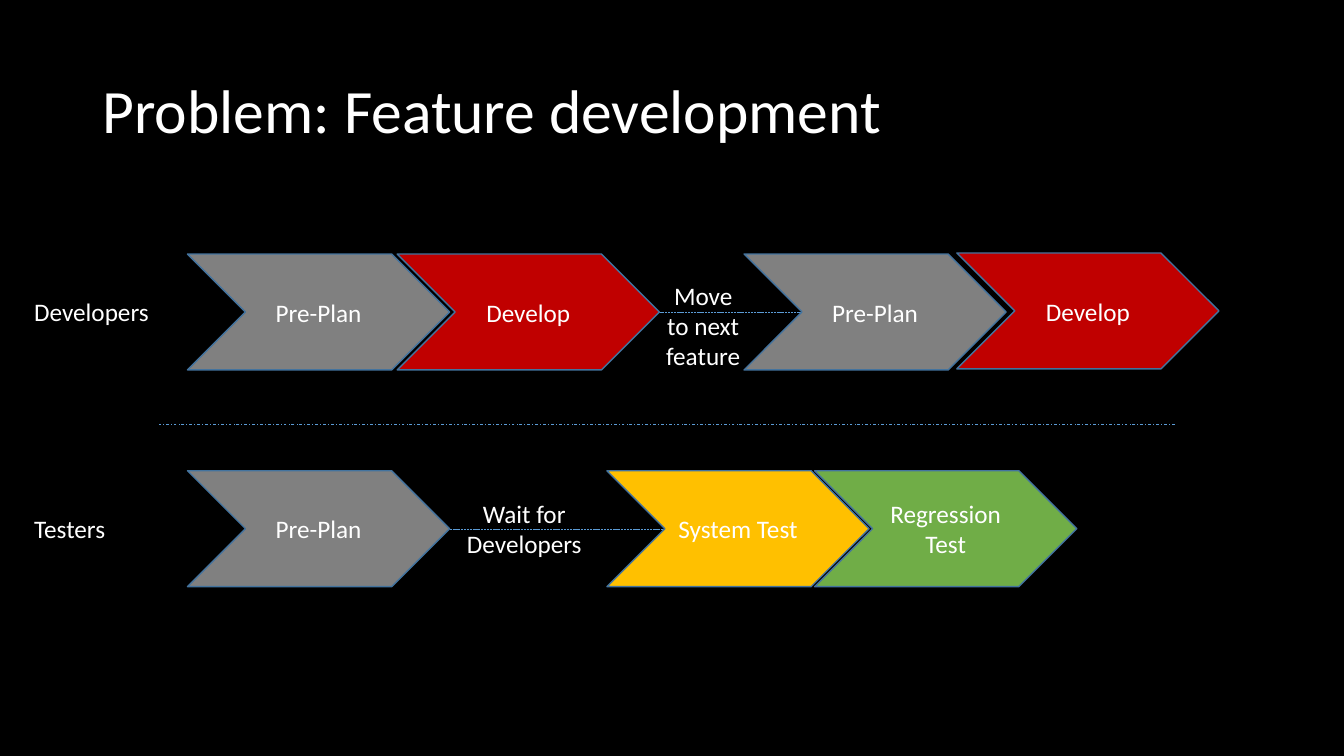
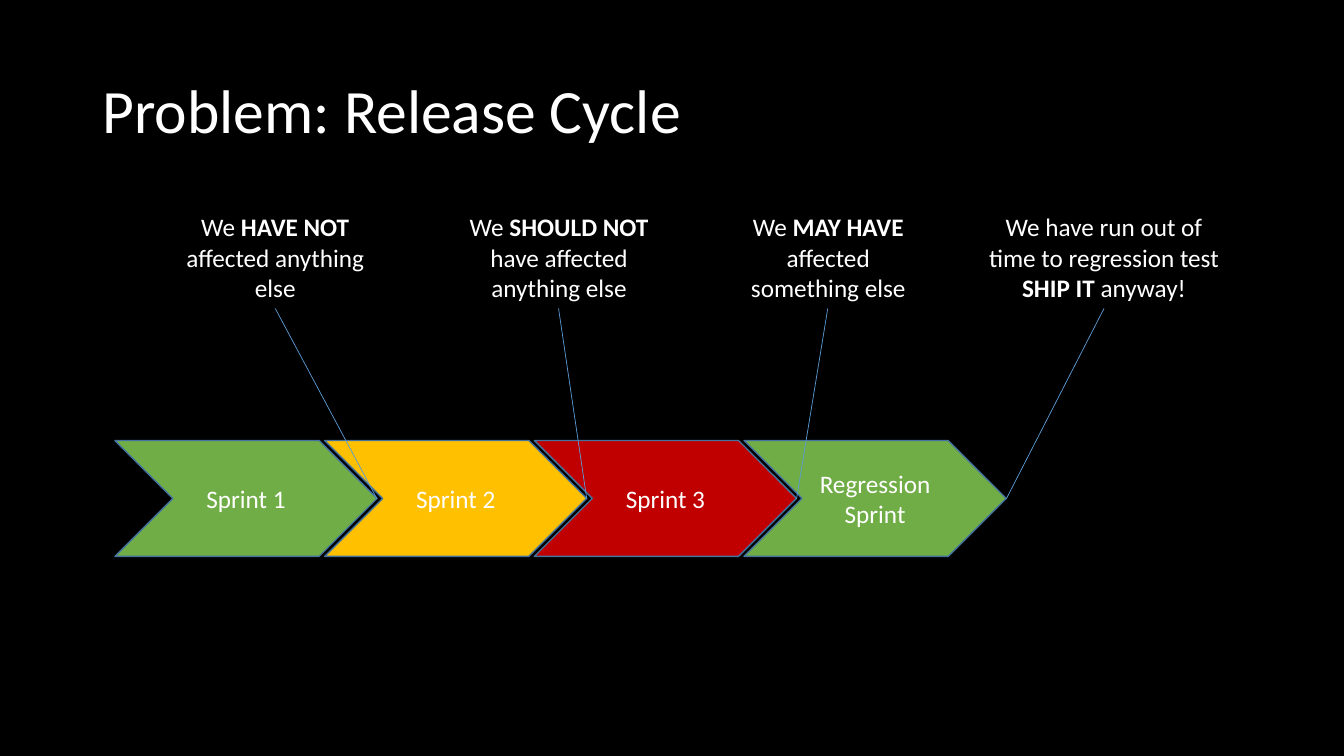
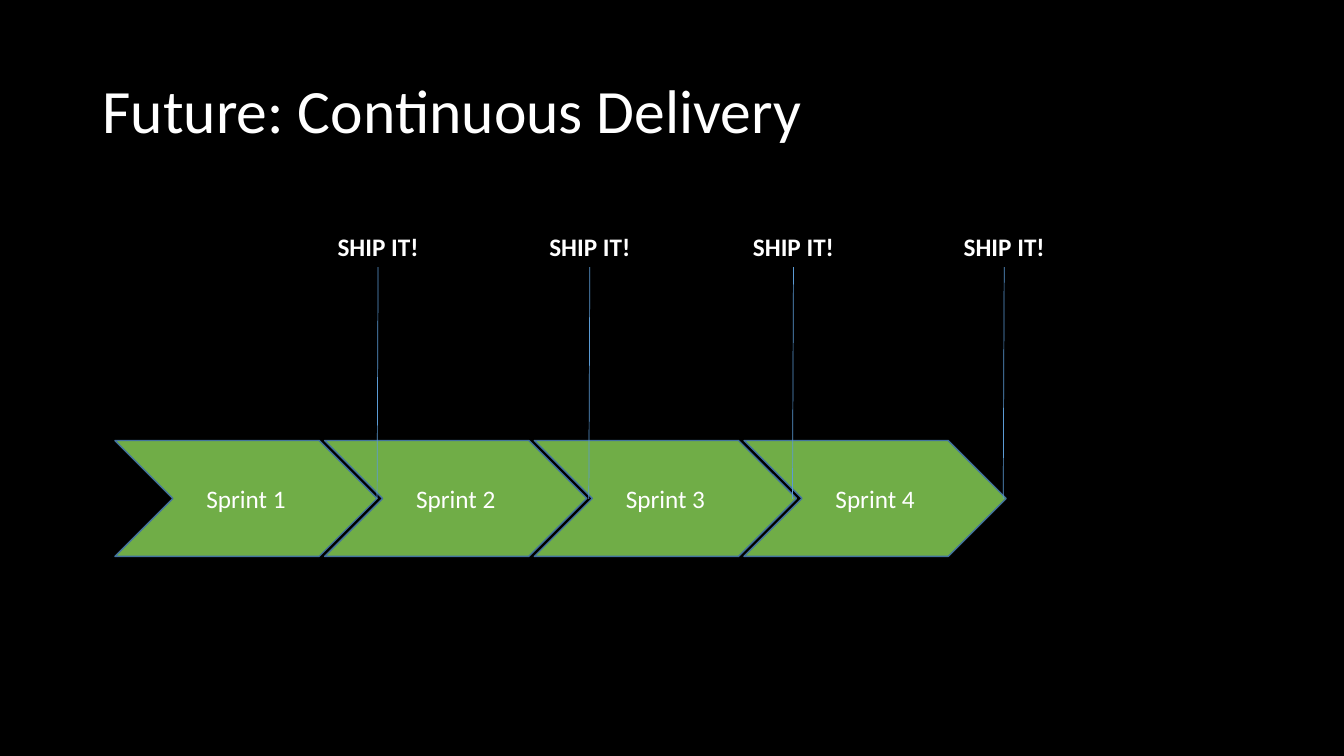
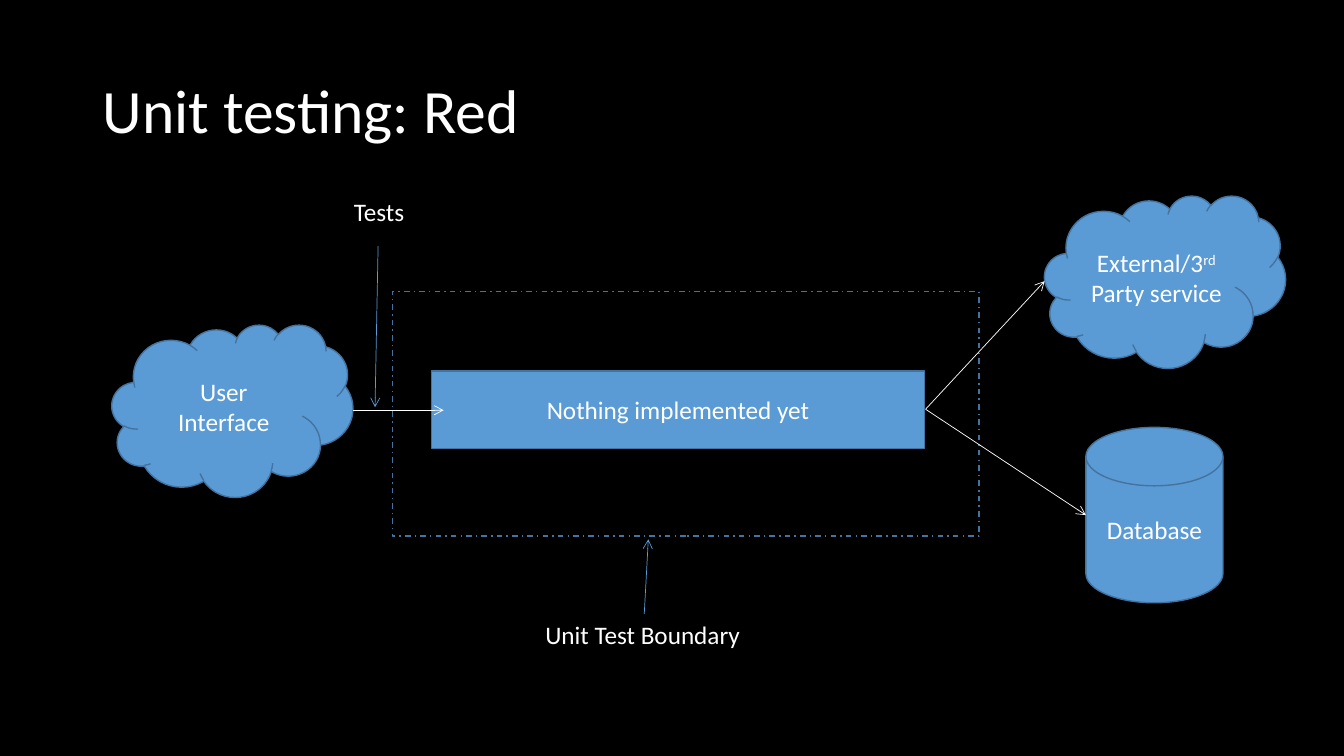
from typing import NamedTuple

from lxml import etree
from pptx import Presentation
from pptx.dml.color import RGBColor
from pptx.enum.dml import MSO_LINE
from pptx.enum.shapes import MSO_CONNECTOR, MSO_SHAPE
from pptx.enum.text import MSO_ANCHOR, MSO_AUTO_SIZE, PP_ALIGN
from pptx.oxml.ns import qn
from pptx.util import Emu, Pt

CHEVRON, CLOUD, RECTANGLE = MSO_SHAPE.CHEVRON, MSO_SHAPE.CLOUD, MSO_SHAPE.RECTANGLE
DISK = MSO_SHAPE.FLOWCHART_MAGNETIC_DISK
STRAIGHT = MSO_CONNECTOR.STRAIGHT
DASH_DOT, SHORT_DASH = MSO_LINE.DASH_DOT, MSO_LINE.SQUARE_DOT
LEFT, CENTER = PP_ALIGN.LEFT, PP_ALIGN.CENTER
TOP, MIDDLE = MSO_ANCHOR.TOP, MSO_ANCHOR.MIDDLE
FIT_SHAPE = MSO_AUTO_SIZE.SHAPE_TO_FIT_TEXT

EMU_PER_PX = 9144  # 100 px to the inch
SLIDE_WIDTH, SLIDE_HEIGHT = 1333, 750
BLANK_LAYOUT = 6

BLACK, WHITE = "000000", "FFFFFF"
BLUE, OUTLINE = "5B9BD5", "43739E"
GRAY, RED, YELLOW, GREEN = "808080", "C00000", "FFC000", "70AD47"

CHEVRON_WIDTH, CHEVRON_HEIGHT = 260, 115
SPRINT_LEFT, SPRINT_TOP, SPRINT_PITCH = 114, 437, 208
SPRINT_MIDDLE = 495


class Run(NamedTuple):
    text: str
    bold: bool = False
    raised: bool = False


def px(length):
    return Emu(length * EMU_PER_PX)


def color(value):
    return RGBColor.from_string(value)


class Deck:
    font = "Calibri"
    body_size = 18
    title_size = 44

    def __init__(self):
        self.presentation = Presentation()
        self.presentation.slide_width = px(SLIDE_WIDTH)
        self.presentation.slide_height = px(SLIDE_HEIGHT)
        background = self.presentation.slide_master.background.fill
        background.solid()
        background.fore_color.rgb = color(BLACK)
        self.slide = None

    def new_slide(self, title):
        layout = self.presentation.slide_layouts[BLANK_LAYOUT]
        self.slide = self.presentation.slides.add_slide(layout)
        box = self.slide.shapes.add_textbox(px(92), px(40), px(1150), px(145))
        self.add_text(box.text_frame, [[Run(title)]], LEFT, MIDDLE, self.title_size)
        box.text_frame.paragraphs[0].line_spacing = 0.9

    def add_text(self, frame, paragraphs, align=CENTER, anchor=MIDDLE, size=body_size):
        """Fill a text frame; each paragraph is a list of Run."""
        frame.word_wrap = True
        frame.vertical_anchor = anchor
        for index, runs in enumerate(paragraphs):
            paragraph = frame.add_paragraph() if index else frame.paragraphs[0]
            paragraph.alignment = align
            for part in runs:
                run = paragraph.add_run()
                run.text = part.text
                run.font.name = self.font
                run.font.size = Pt(size)
                run.font.bold = part.bold
                run.font.color.rgb = color(WHITE)
                if part.raised:
                    run._r.get_or_add_rPr().set("baseline", "30000")

    def label(self, left, top, width, height, *paragraphs, align=CENTER, wrap=True):
        box = self.slide.shapes.add_textbox(px(left), px(top), px(width), px(height))
        self.add_text(box.text_frame, paragraphs, align, TOP)
        box.text_frame.word_wrap = wrap
        box.text_frame.auto_size = FIT_SHAPE

    def shape(self, kind, left, top, width, height, runs=(), fill=BLUE, dash=None):
        shape = self.slide.shapes.add_shape(
            kind, px(left), px(top), px(width), px(height))
        shape.shadow.inherit = False
        if fill:
            shape.fill.solid()
            shape.fill.fore_color.rgb = color(fill)
        else:
            shape.fill.background()
        shape.line.color.rgb = color(OUTLINE)
        shape.line.width = Pt(1)
        if dash:
            shape.line.dash_style = dash
        if runs:
            self.add_text(shape.text_frame, [runs])

    def chevron(self, left, top, text, fill):
        self.shape(CHEVRON, left, top, CHEVRON_WIDTH, CHEVRON_HEIGHT, [Run(text)], fill)

    def line(self, start, end, stroke=BLUE, dash=None, arrow=False):
        connector = self.slide.shapes.add_connector(
            STRAIGHT, *(px(length) for length in (*start, *end)))
        connector.line.color.rgb = color(stroke)
        connector.line.width = Pt(0.5)
        if dash:
            connector.line.dash_style = dash
        if arrow:
            etree.SubElement(connector.get_or_add_ln(), qn("a:tailEnd"), type="arrow")
        etree.SubElement(connector._element.spPr, qn("a:effectLst"))

    def sprints(self, steps):
        for index, (text, fill) in enumerate(steps):
            self.chevron(SPRINT_LEFT + index * SPRINT_PITCH, SPRINT_TOP, text, fill)


def feature_development(deck):
    deck.new_slide("Problem: Feature development")
    deck.line((1165, 421), (158, 421), dash=DASH_DOT)
    deck.line((446, 525), (659, 525), dash=SHORT_DASH)
    deck.line((654, 310), (822, 310), dash=SHORT_DASH)
    deck.label(24, 289, 135, 40, [Run("Developers")], align=LEFT, wrap=False)
    deck.label(24, 504, 91, 40, [Run("Testers")], align=LEFT, wrap=False)
    deck.label(448, 489, 144, 71, [Run("Wait for Developers")])
    deck.label(646, 273, 103, 101, [Run("Move to next feature")])
    for left, top, text, fill in (
        (186, 252, "Pre-Plan", GRAY),
        (394, 252, "Develop", RED),
        (738, 252, "Pre-Plan", GRAY),
        (949, 251, "Develop", RED),
        (186, 467, "Pre-Plan", GRAY),
        (602, 467, "System Test", YELLOW),
        (808, 467, "Regression Test", GREEN),
    ):
        deck.chevron(left, top, text, fill)


def release_cycle(deck):
    deck.new_slide("Problem: Release Cycle")
    deck.sprints([("Sprint 1", GREEN), ("Sprint 2", YELLOW),
                  ("Sprint 3", RED), ("Regression Sprint", GREEN)])
    remarks = (
        (169, 208, [[Run("We "), Run("HAVE NOT", bold=True),
                     Run(" affected anything else")]]),
        (445, 219, [[Run("We "), Run("SHOULD NOT ", bold=True),
                     Run("have affected anything else")]]),
        (730, 183, [[Run("We "), Run("MAY HAVE ", bold=True),
                     Run("affected something else")]]),
        (970, 250, [[Run("We have run out of time to regression test")],
                    [Run("SHIP IT ", bold=True), Run("anyway!")]]),
    )
    for index, (left, width, paragraphs) in enumerate(remarks):
        deck.label(left, 205, width, 101, *paragraphs)
        tip = SPRINT_LEFT + index * SPRINT_PITCH + CHEVRON_WIDTH
        deck.line((tip, SPRINT_MIDDLE), (left + width // 2, 306))


def continuous_delivery(deck):
    deck.new_slide("Future: Continuous Delivery")
    deck.sprints([(f"Sprint {number}", GREEN) for number in range(1, 5)])
    width = 208
    for left in (271, 481, 683, 892):
        deck.label(left, 225, width, 40, [Run("SHIP IT!", bold=True)])
        center = left + width // 2
        deck.line((center - 1, SPRINT_MIDDLE), (center, 265))


def unit_testing(deck):
    deck.new_slide("Unit testing: Red")
    deck.shape(RECTANGLE, 428, 368, 489, 77, [Run("Nothing implemented yet")])
    deck.shape(CLOUD, 111, 322, 239, 171, [Run("User Interface")])
    deck.line((350, 407), (440, 407), WHITE, arrow=True)
    deck.shape(RECTANGLE, 389, 289, 582, 243, fill=None, dash=DASH_DOT)
    deck.line((375, 244), (372, 404), arrow=True)
    deck.label(306, 190, 140, 40, [Run("Tests")])
    deck.shape(DISK, 1077, 424, 136, 174, [Run("Database")])
    deck.shape(CLOUD, 1036, 194, 239, 171,
               [Run("External/3"), Run("rd", raised=True), Run(" Party service")])
    for end in ((1077, 511), (1036, 279)):
        deck.line((918, 406), end, WHITE, arrow=True)
    deck.line((639, 609), (643, 535), arrow=True)
    deck.label(531, 609, 215, 40, [Run("Unit Test Boundary")], align=LEFT, wrap=False)


def main():
    deck = Deck()
    feature_development(deck)
    release_cycle(deck)
    continuous_delivery(deck)
    unit_testing(deck)
    deck.presentation.save("out.pptx")


if __name__ == "__main__":
    main()
